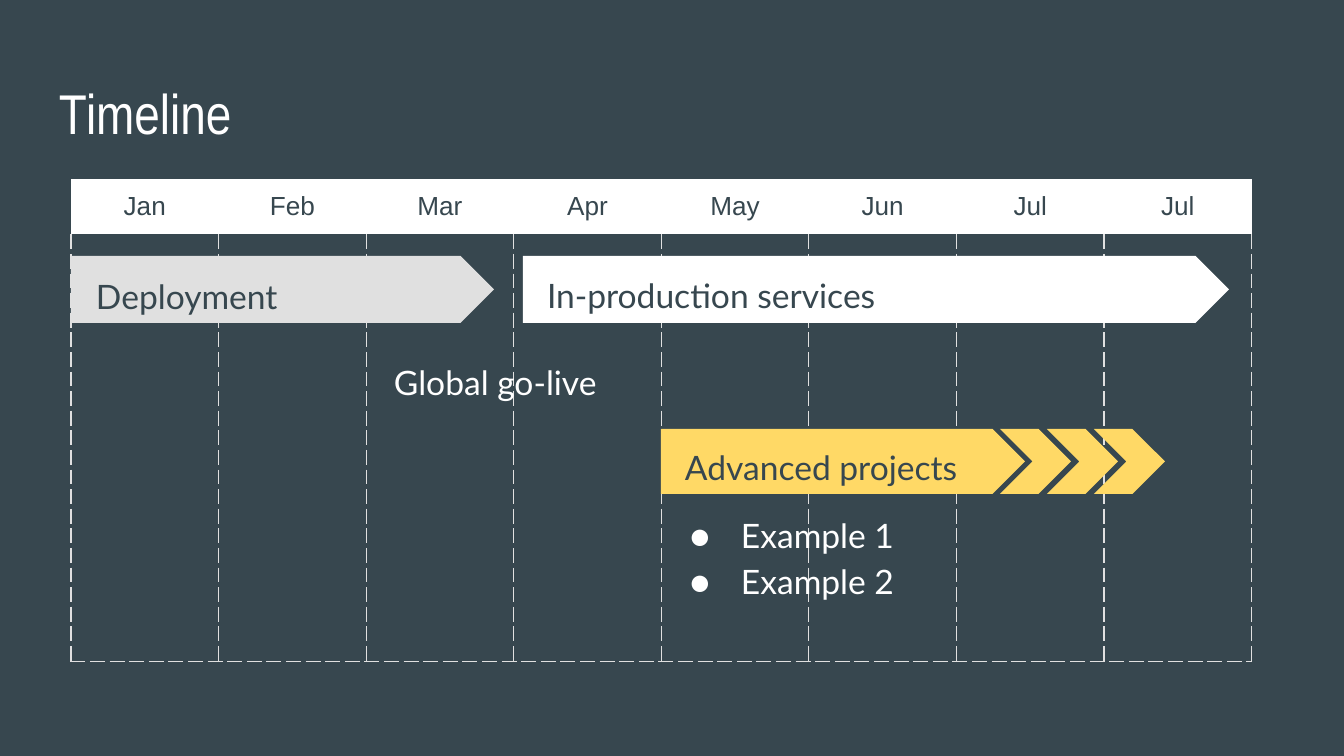
"""Build a project timeline slide with a month grid, phase arrows and labels."""
from dataclasses import dataclass

from lxml import etree
from pptx import Presentation
from pptx.dml.color import RGBColor
from pptx.enum.shapes import MSO_SHAPE
from pptx.enum.text import MSO_ANCHOR, MSO_AUTO_SIZE, PP_ALIGN
from pptx.oxml.ns import qn
from pptx.util import Emu, Pt

PENTAGON, CHEVRON = MSO_SHAPE.PENTAGON, MSO_SHAPE.CHEVRON
LEFT, CENTER = PP_ALIGN.LEFT, PP_ALIGN.CENTER
TOP = MSO_ANCHOR.TOP
NO_AUTOFIT = MSO_AUTO_SIZE.NONE

SLIDE_WIDTH, SLIDE_HEIGHT = 1344, 756
EMU_PER_PX = 9144000 / SLIDE_WIDTH
INSET = 13
PLAIN_TABLE_STYLE = "{2D5ABB26-0587-4C30-8999-92F81FD0307C}"


@dataclass(frozen=True)
class Theme:
    slate: str = "37474F"
    white: str = "FFFFFF"
    gray: str = "E0E0E0"
    yellow: str = "FFD966"
    title_font: str = "Arial Narrow"
    month_font: str = "Arial"
    body_font: str = "Lato"
    title_size: int = 30
    month_size: int = 14
    body_size: int = 18
    grid_width: float = 0.75
    body_spacing: float = 1.15


@dataclass(frozen=True)
class Box:
    left: int
    top: int
    width: int
    height: int


@dataclass(frozen=True)
class Arrow:
    box: Box
    fill: str
    kind: int = PENTAGON


@dataclass(frozen=True)
class Label:
    text: str
    box: Box
    color: str


THEME = Theme()
MONTHS = ("Jan", "Feb", "Mar", "Apr", "May", "Jun", "Jul", "Jul")
GRID = Box(71, 179, 1181, 481)
HEADER_HEIGHT = 54
TITLE = Label("Timeline", Box(46, 66, 1253, 85), THEME.white)
EXAMPLES = Label("Example 1\nExample 2", Box(661, 496, 504, 148), THEME.white)
PHASES = (
    Arrow(Box(71, 256, 423, 67), THEME.gray),
    Arrow(Box(523, 256, 706, 67), THEME.white),
)
PROJECT_ARROWS = (
    Arrow(Box(661, 429, 364, 65), THEME.yellow),
    *(Arrow(Box(1000 + 47 * step, 429, 71, 65), THEME.yellow, CHEVRON) for step in range(3)),
)
LABELS = (
    Label("Deployment", Box(83, 257, 378, 67), THEME.slate),
    Label("In-production services", Box(534, 256, 657, 67), THEME.slate),
    Label("Global go-live", Box(381, 343, 296, 67), THEME.white),
    Label("Advanced projects", Box(672, 428, 378, 67), THEME.slate),
)


def px(length: int) -> Emu:
    return Emu(round(length * EMU_PER_PX))


def bounds(box: Box) -> tuple:
    return px(box.left), px(box.top), px(box.width), px(box.height)


def style_text(frame, font: str, size: int, color: str, align=LEFT, spacing: float = 1.0) -> None:
    for paragraph in frame.paragraphs:
        paragraph.alignment = align
        paragraph.line_spacing = spacing
        paragraph.space_before = paragraph.space_after = Pt(0)
        for run in paragraph.runs:
            run.font.name = font
            run.font.size = Pt(size)
            run.font.bold = False
            run.font.color.rgb = RGBColor.from_string(color)


def fill_text(holder, label: Label, font: str, size: int, spacing: float = 1.0) -> None:
    holder.left, holder.top, holder.width, holder.height = bounds(label.box)
    frame = holder.text_frame
    frame.text = label.text
    frame.word_wrap = True
    frame.auto_size = NO_AUTOFIT
    frame.vertical_anchor = TOP
    frame.margin_left = frame.margin_right = px(INSET)
    frame.margin_top = frame.margin_bottom = px(INSET)
    style_text(frame, font, size, label.color, spacing=spacing)


def fill_body(holder, label: Label) -> None:
    fill_text(holder, label, THEME.body_font, THEME.body_size, THEME.body_spacing)


def add_bullets(frame, color: str) -> None:
    for paragraph in frame.paragraphs:
        properties = paragraph._p.get_or_add_pPr()
        properties.set("marL", str(px(67)))
        properties.set("indent", str(px(-51)))
        bullet_color = etree.SubElement(properties, qn("a:buClr"))
        etree.SubElement(bullet_color, qn("a:srgbClr"), val=color)
        etree.SubElement(properties, qn("a:buFont"), typeface=THEME.body_font)
        etree.SubElement(properties, qn("a:buChar"), char="●")


def add_dashed_borders(cell) -> None:
    properties = cell._tc.get_or_add_tcPr()
    for position, side in enumerate(("lnL", "lnR", "lnB")):
        line = etree.Element(qn(f"a:{side}"), w=str(Pt(THEME.grid_width)))
        fill = etree.SubElement(line, qn("a:solidFill"))
        etree.SubElement(fill, qn("a:srgbClr"), val=THEME.gray)
        etree.SubElement(line, qn("a:prstDash"), val="dash")
        properties.insert(position, line)


def add_month_grid(slide):
    grid = slide.shapes.add_table(2, len(MONTHS), *bounds(GRID))
    table = grid.table
    table.first_row = table.horz_banding = False
    table._tbl.tblPr.find(qn("a:tableStyleId")).text = PLAIN_TABLE_STYLE
    table.rows[0].height = px(HEADER_HEIGHT)
    table.rows[1].height = px(GRID.height - HEADER_HEIGHT)
    for column, month in enumerate(MONTHS):
        header, body = table.cell(0, column), table.cell(1, column)
        header.text = month
        header.margin_left = header.margin_right = px(INSET)
        header.margin_top = header.margin_bottom = px(INSET)
        header.fill.solid()
        header.fill.fore_color.rgb = RGBColor.from_string(THEME.white)
        style_text(header.text_frame, THEME.month_font, THEME.month_size, THEME.slate, CENTER)
        body.fill.background()
        add_dashed_borders(body)
    return grid


def add_arrow(shapes, arrow: Arrow) -> None:
    shape = shapes.add_shape(arrow.kind, *bounds(arrow.box))
    shape.adjustments[0] = 0.5
    shape.shadow.inherit = False
    shape.fill.solid()
    shape.fill.fore_color.rgb = RGBColor.from_string(arrow.fill)
    shape.line.fill.background()


def main() -> None:
    deck = Presentation()
    deck.slide_width, deck.slide_height = px(SLIDE_WIDTH), px(SLIDE_HEIGHT)
    slide = deck.slides.add_slide(deck.slide_layouts[1])
    slide.background.fill.solid()
    slide.background.fill.fore_color.rgb = RGBColor.from_string(THEME.slate)

    title, examples = slide.placeholders
    fill_text(title, TITLE, THEME.title_font, THEME.title_size)
    fill_body(examples, EXAMPLES)
    add_bullets(examples.text_frame, EXAMPLES.color)

    grid = add_month_grid(slide)
    title.element.addprevious(grid.element)
    for phase in PHASES:
        add_arrow(slide.shapes, phase)
    projects = slide.shapes.add_group_shape()
    for arrow in PROJECT_ARROWS:
        add_arrow(projects.shapes, arrow)
    for label in LABELS:
        fill_body(slide.shapes.add_textbox(*bounds(label.box)), label)
    deck.save("out.pptx")


if __name__ == "__main__":
    main()
